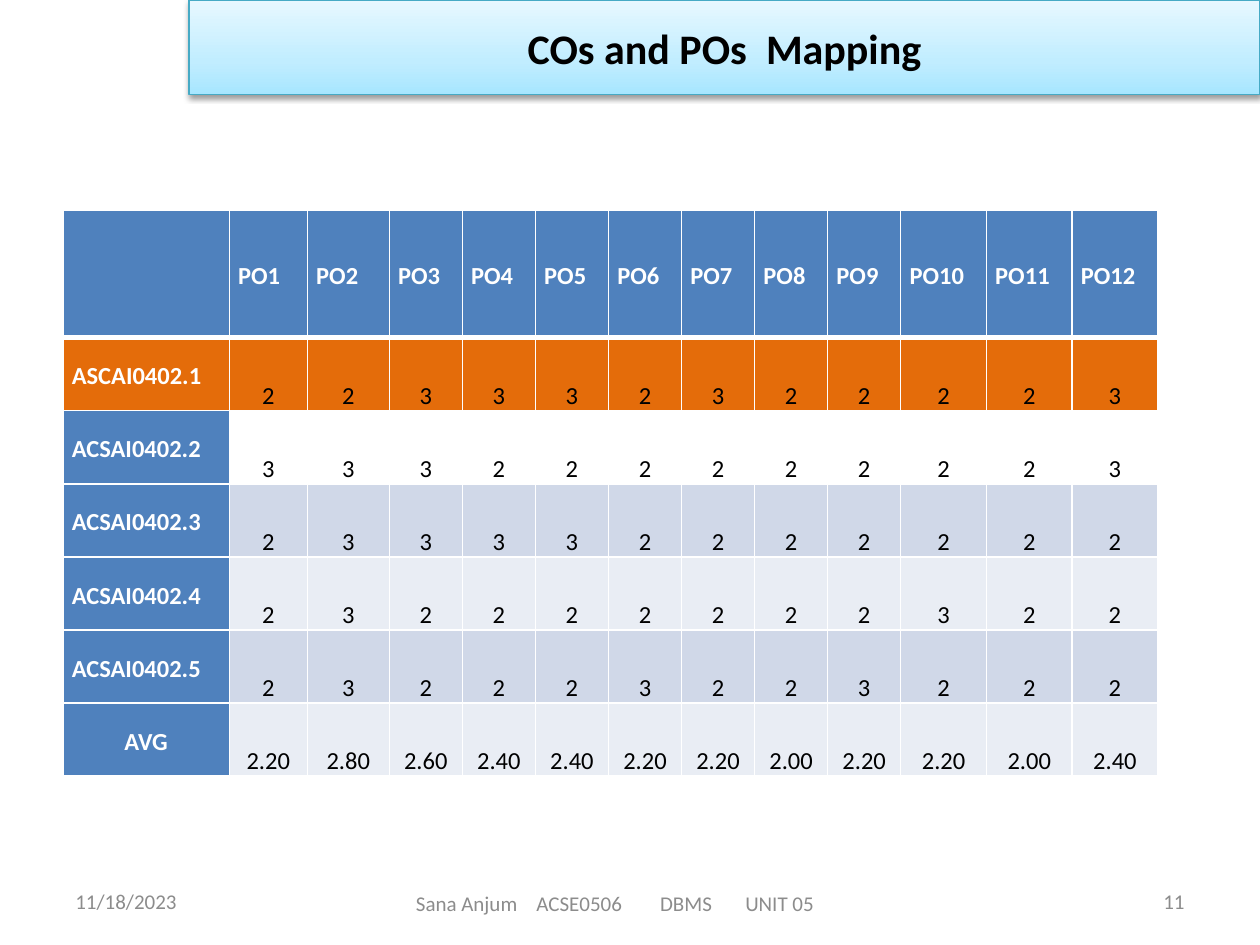
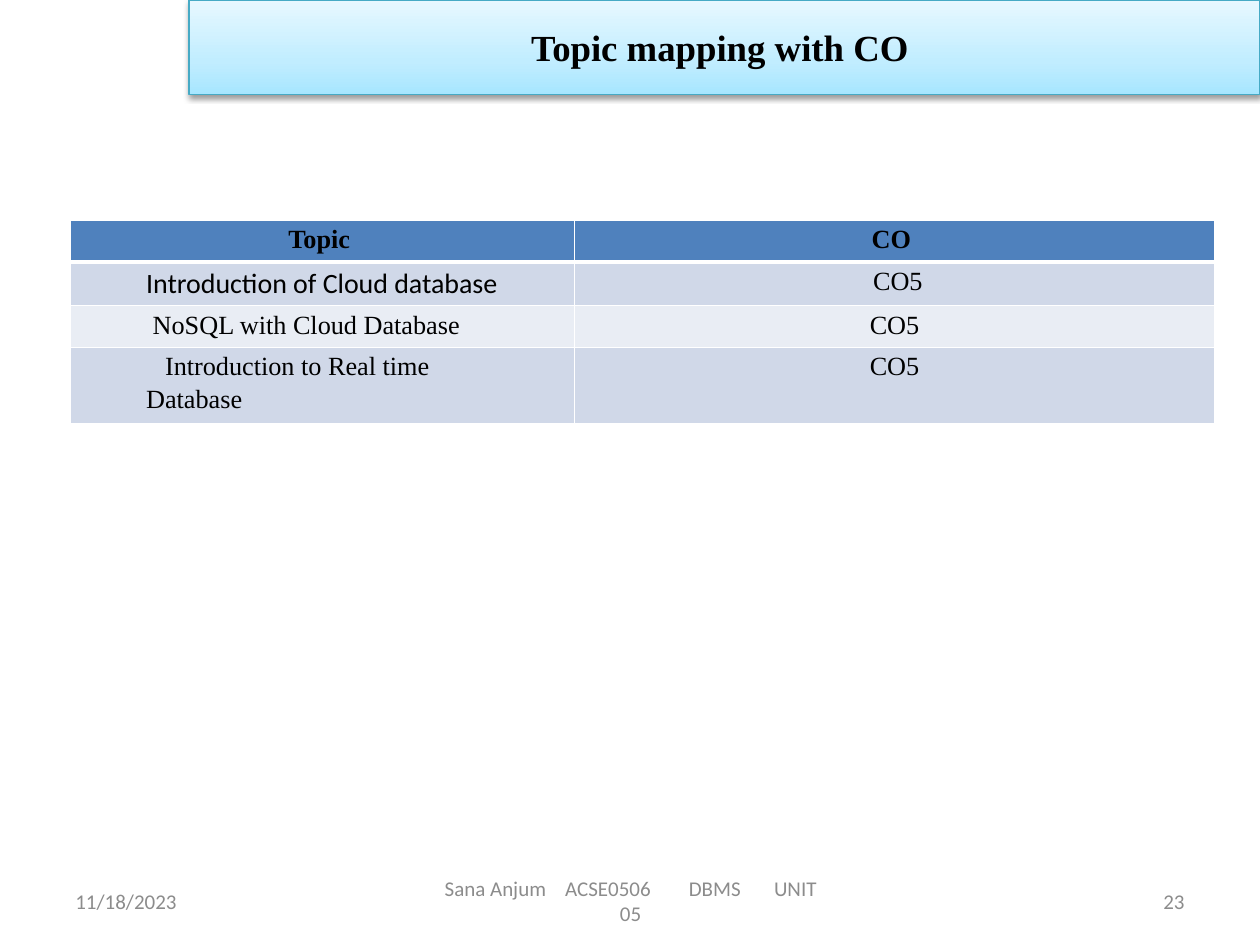
from lxml.etree import SubElement as Sub
from pptx import Presentation
from pptx.dml.color import RGBColor as RGB
from pptx.enum.shapes import MSO_SHAPE as Shape
from pptx.enum.text import MSO_ANCHOR as Anchor, PP_ALIGN as Align
from pptx.oxml.ns import qn
from pptx.util import Inches, Pt

COLORS = {
    "white": "FFFFFF", "black": "000000", "grey": "8C8C8C",
    "blue": "4F81BD", "orange": "E46C0A", "edge": "46AAC5",
    "dark": "D0D8E8", "light": "E9EDF4",
}
BAND = [(0, "A7E6FF"), (35, "C1EDFF"), (100, "E7F8FF")]
SANS, SERIF = "Calibri", "Times New Roman"
DATE = "11/18/2023"
# Each part is a text and the extra points of space that follow it.
FOOT = [("Sana Anjum", 8.1), ("ACSE0506", 19), ("DBMS", 16.3), ("UNIT 05", 0)]

OUTCOMES = ["ASCAI0402.1"] + [f"ACSAI0402.{n}" for n in range(2, 6)]
SCORES = ["223332322223", "333222222223", "233332222222",
          "232222222322", "232223223222"]
MEANS = "2.20 2.80 2.60 2.40 2.40 2.20 2.20 2.00 2.20 2.20 2.00 2.40".split()
TOPICS = [
    # lines, course outcome, font, size, first indent
    (["Introduction of Cloud database"], " CO5", SANS, 16, 0),
    ([" NoSQL with Cloud Database"], "CO5", SERIF, 15, 0),
    (["Introduction to Real time", "Database"], "CO5", SERIF, 15, 0.15),
]


def rgb(name):
    return RGB.from_string(COLORS[name])


def put(para, text, font=SANS, size=14, color="black", bold=False,
        align=Align.LEFT, line=None, before=None, after=None):
    """Fill a paragraph from a string or from (text, gap) parts."""
    para.alignment = align
    para.line_spacing = line
    if before:
        para.space_before = Pt(before)
    if after:
        para.space_after = Pt(after)
    parts = [(text, 0)] if isinstance(text, str) else text
    for part, gap in parts:
        for word, space in [(part, 0), (" ", gap)][:2 if gap else 1]:
            run = para.add_run()
            run.text = word
            style = run.font
            style.name, style.size, style.bold = font, Pt(size), bold
            style.color.rgb = rgb(color)
            if space:
                run._r.get_or_add_rPr().set("spc", str(round(space * 100)))


class Deck:
    def __init__(self):
        self.prs = Presentation()
        self.prs.slide_width, self.prs.slide_height = Inches(10), Inches(7.5)
        self.slide = None

    def page(self, number, foot):
        """Start a slide with its date, footer and number."""
        self.slide = self.prs.slides.add_slide(self.prs.slide_layouts[6])
        side = (6.95, 2.33, 0.4)
        self.note(DATE, (0.5, *side), Align.LEFT)
        self.note(FOOT, foot, Align.CENTER)
        self.note(number, (7.17, *side), Align.RIGHT)

    def note(self, text, box, align):
        frame = self.slide.shapes.add_textbox(*map(Inches, box)).text_frame
        frame.word_wrap = True
        frame.vertical_anchor = Anchor.MIDDLE
        put(frame.paragraphs[0], text, size=12, color="grey", align=align)

    def title(self, text, font, size):
        box = map(Inches, (1.5, 0, 8.5, 0.75))
        band = self.slide.shapes.add_shape(Shape.RECTANGLE, *box)
        band.fill.gradient()
        band.fill.gradient_angle = 90
        props = band._element.spPr
        stops = props.find(".//" + qn("a:gsLst"))
        for stop in list(stops):
            stops.remove(stop)
        for place, color in BAND:
            stop = Sub(stops, qn("a:gs"), pos=str(place * 1000))
            Sub(stop, qn("a:srgbClr"), val=color)
        band.line.color.rgb = rgb("edge")
        band.line.width = Pt(0.75)
        band.shadow.inherit = False
        shade = Sub(props.find(qn("a:effectLst")), qn("a:outerShdw"),
                    blurRad="40000", dist="20000", dir="5400000",
                    rotWithShape="0")
        tone = Sub(shade, qn("a:srgbClr"), val=COLORS["black"])
        Sub(tone, qn("a:alpha"), val="38000")
        frame = band.text_frame
        frame.vertical_anchor = Anchor.MIDDLE
        put(frame.paragraphs[0], text, font=font, size=size, bold=True,
            align=Align.CENTER)

    def grid(self, left, top, cols, rows):
        shape = self.slide.shapes.add_table(
            len(rows), len(cols), Inches(left), Inches(top),
            Inches(sum(cols)), Inches(sum(rows)))
        table = shape.table
        table.first_row = table.horz_banding = False
        for col, width in zip(table.columns, cols):
            col.width = Inches(width)
        for row, height in zip(table.rows, rows):
            row.height = Inches(height)
        return table

    def cell(self, table, row, col, lines, fill=None, anchor=Anchor.TOP,
             pad=(0.1, 0.04), left=0, first=0, **form):
        cell = table.cell(row, col)
        cell.margin_left = cell.margin_right = Inches(pad[0])
        cell.margin_top = cell.margin_bottom = Inches(pad[1])
        cell.vertical_anchor = anchor
        props = cell._tc.get_or_add_tcPr()
        for side in "LRTB":
            thick = row == 0 and side == "B" or row == 1 and side == "T"
            edge = Sub(props, qn(f"a:ln{side}"), w=str(Pt(3 if thick else 1)))
            paint = Sub(edge, qn("a:solidFill"))
            Sub(paint, qn("a:srgbClr"), val=COLORS["white"])
        if fill:
            cell.fill.solid()
            cell.fill.fore_color.rgb = rgb(fill)
        else:
            cell.fill.background()
        frame = cell.text_frame
        for n, text in enumerate(lines):
            para = frame.add_paragraph() if n else frame.paragraphs[0]
            if left:
                spot = para._p.get_or_add_pPr()
                spot.set("marL", str(Inches(left)))
                spot.set("indent", str(0 if n else Inches(first)))
            put(para, text, before=2 if n else None, **form)


def outcomes(deck):
    deck.page("11", (3.17, 6.99, 3.42, 0.36))
    cols = [1.32, 0.62, 0.65] + [0.58] * 7 + [0.68] * 3
    table = deck.grid(0.5, 1.67, cols, [1.01] + [0.58] * 6)
    base = dict(pad=(0.07, 0), line=1.15)
    head = dict(base, anchor=Anchor.MIDDLE, color="white", bold=True)
    deck.cell(table, 0, 0, [], "blue", **head)
    for n in range(1, 13):
        deck.cell(table, 0, n, [f"PO{n}"], "blue", align=Align.JUSTIFY, **head)
    fills = ["orange", None, "dark", "light", "dark", "light"]
    body = zip(OUTCOMES + ["AVG"], SCORES + [MEANS], fills)
    for row, (name, marks, fill) in enumerate(body, 1):
        align = Align.CENTER if name == "AVG" else Align.LEFT
        deck.cell(table, row, 0, [name], "orange" if row == 1 else "blue",
                  align=align, **head)
        for col, mark in enumerate(marks, 1):
            deck.cell(table, row, col, [mark], fill, anchor=Anchor.BOTTOM,
                      align=Align.CENTER, after=10, **base)
    deck.title([("COs and POs", 5.4), ("Mapping", 0)], SANS, 24)


def topics(deck):
    deck.page("23", (3.42, 6.95, 3.17, 0.4))
    deck.title("Topic mapping with CO ", SERIF, 21)
    table = deck.grid(0.56, 1.75, [4, 5.08], [0.32] * 4)
    mid = dict(font=SERIF, size=15, align=Align.CENTER)
    for col, name in enumerate(["Topic ", "CO "]):
        deck.cell(table, 0, col, [name], "blue", bold=True, **mid)
    for row, (lines, code, font, size, first) in enumerate(TOPICS, 1):
        fill = "dark" if row % 2 else "light"
        deck.cell(table, row, 0, lines, fill, left=0.5, first=first,
                  font=font, size=size)
        deck.cell(table, row, 1, [code], fill, **mid)


def main():
    deck = Deck()
    outcomes(deck)
    topics(deck)
    deck.prs.save("out.pptx")


if __name__ == "__main__":
    main()
